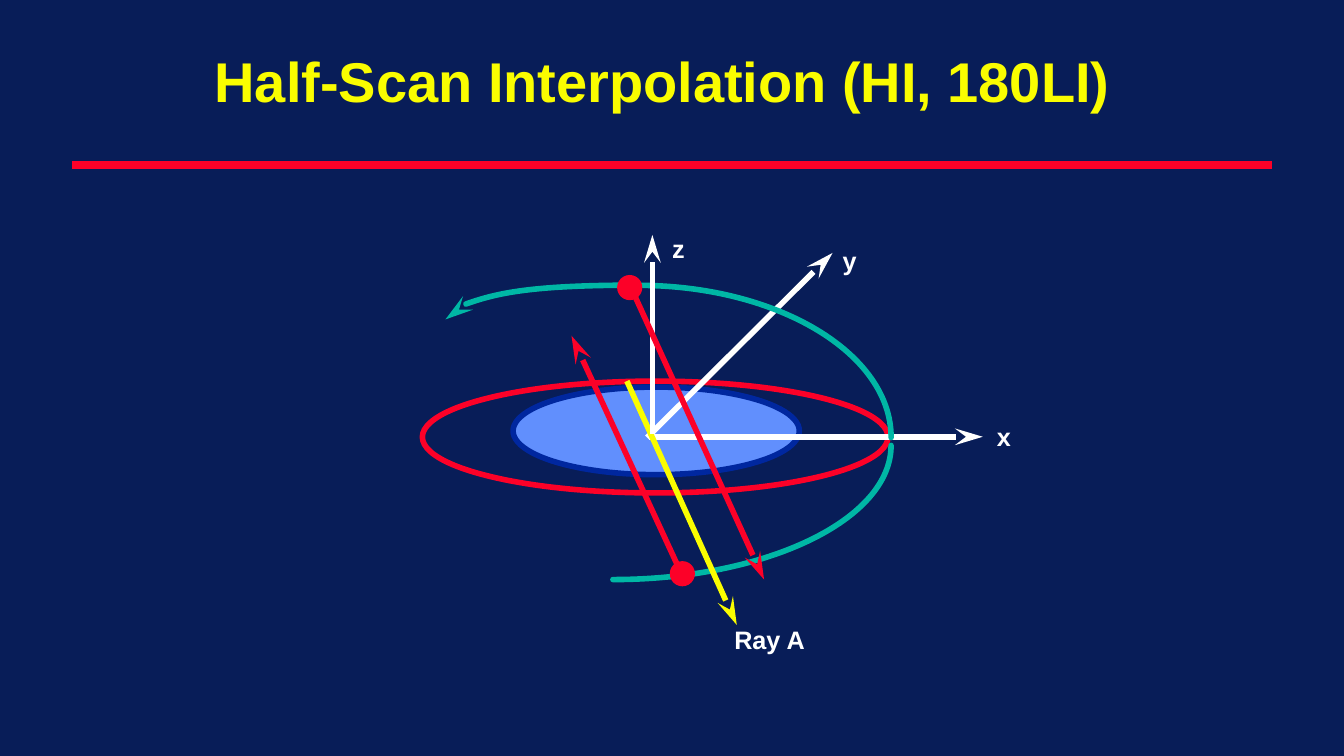
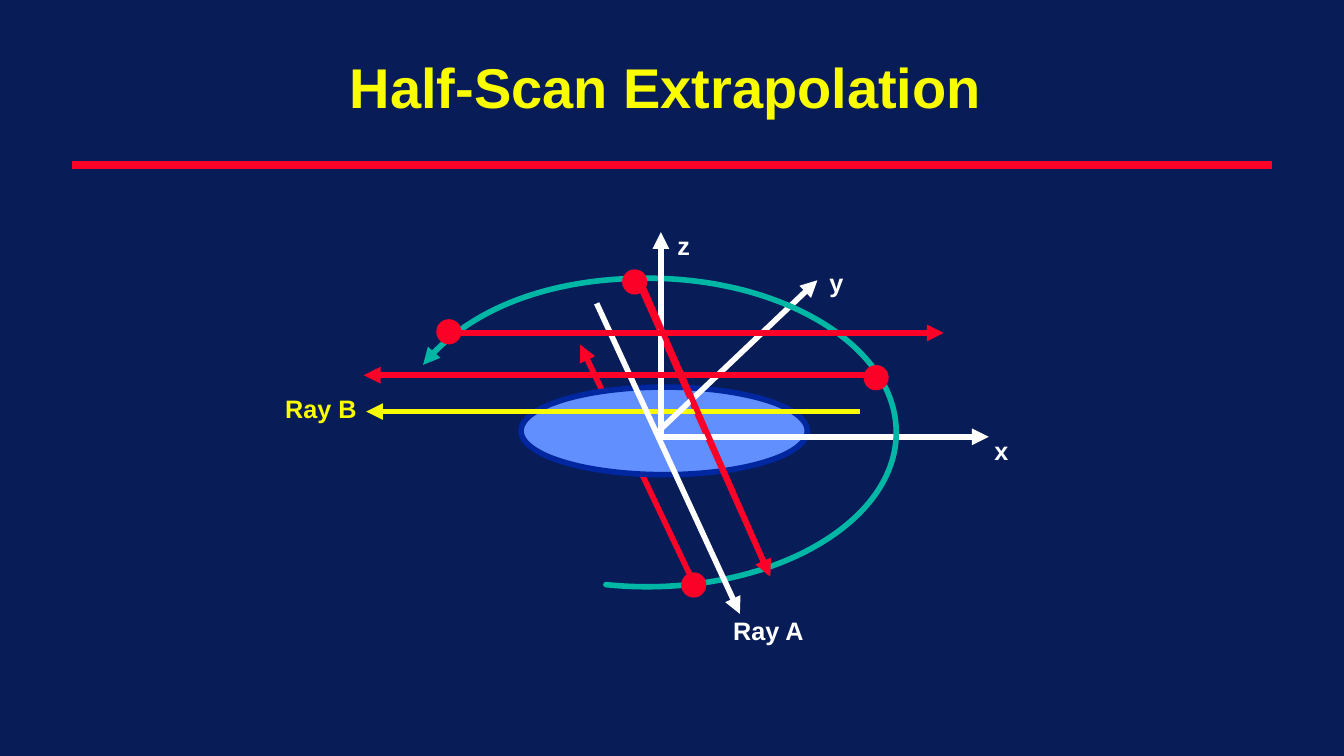
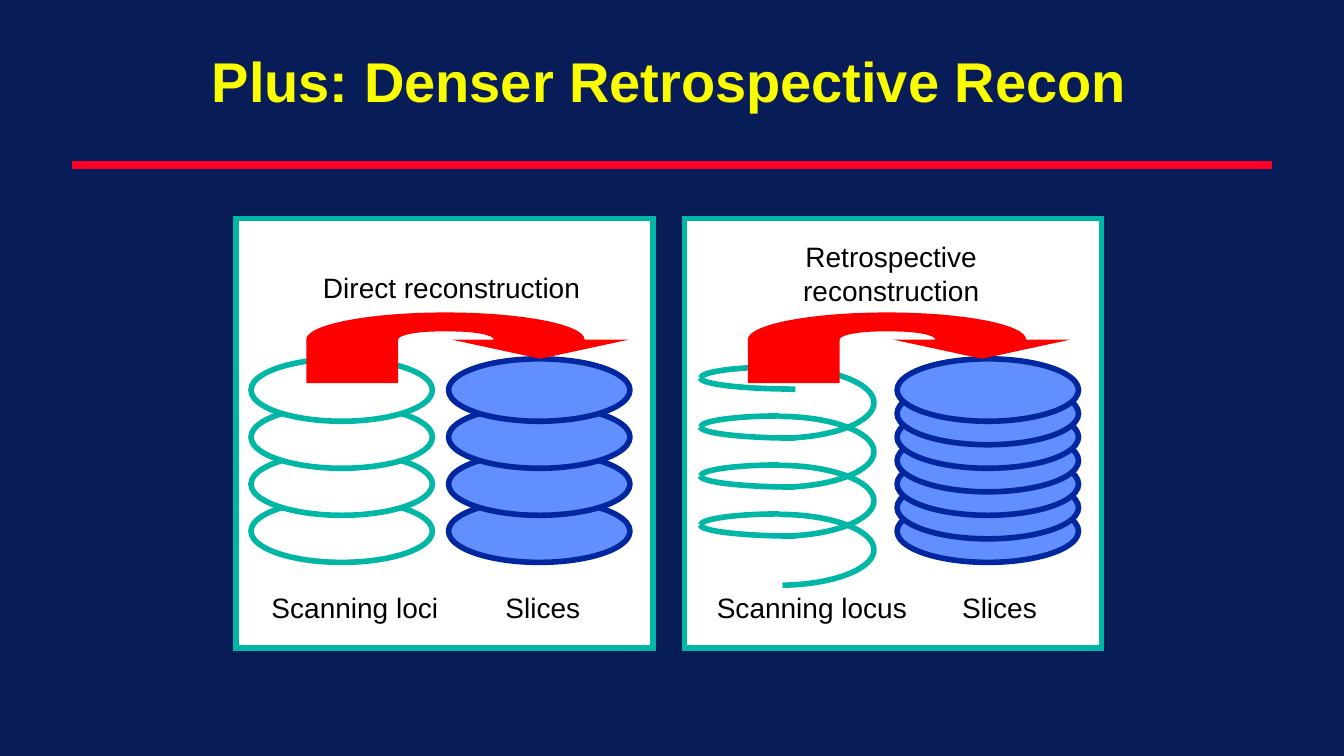
"""Build three slides on helical scan interpolation and reconstruction."""
import math

import lxml.etree
import pptx
import pptx.dml.color
import pptx.enum.shapes
import pptx.enum.text
import pptx.oxml.ns
import pptx.util

Pt = pptx.util.Pt
qn = pptx.oxml.ns.qn
Shape = pptx.enum.shapes.MSO_SHAPE
Align = pptx.enum.text.PP_ALIGN

HUES = {
    "navy": "081D58",
    "red": "FC0128",
    "pure": "FF0000",
    "gold": "FAFD00",
    "teal": "00B7A5",
    "sky": "618FFD",
    "blue": "00279F",
    "white": "FFFFFF",
    "black": "000000",
}


def arc(x, y, wide, high, start, end):
    def spot(turn, pull=0):
        a = math.radians(turn)
        return (x + wide * (math.cos(a) - pull * math.sin(a)),
                y + high * (math.sin(a) + pull * math.cos(a)))

    low, top = min(start, end), max(start, end)
    cuts = [low, *(a for a in range(-360, 721, 90) if low < a < top), top]
    if start > end:
        cuts.reverse()
    parts = [(spot(start),)]
    for a, b in zip(cuts, cuts[1:]):
        pull = 4 / 3 * math.tan(math.radians(b - a) / 4)
        parts.append((spot(a, pull), spot(b, -pull), spot(b)))
    return parts


class Deck:
    def __init__(self):
        self.file = pptx.Presentation()
        self.file.slide_width, self.file.slide_height = Pt(960), Pt(540)
        self.slide = None
        self.head = "triangle"

    def hue(self, name):
        return pptx.dml.color.RGBColor.from_string(HUES[name])

    def page(self, title, mid, top, width, head="triangle"):
        self.slide = self.file.slides.add_slide(self.file.slide_layouts[6])
        self.head = head
        back = self.slide.background.fill
        back.solid()
        back.fore_color.rgb = self.hue("navy")
        self.line((51.4, 118), (908.6, 118), "red", 6, tip=False)
        self.text(title, mid - width / 2, top, width, 46.8, 40, "gold", True,
                  Align.CENTER, 0.88, (5, 2.5))

    def text(self, words, x, y, width, height, size, hue, bold, align, space, inset):
        box = self.slide.shapes.add_textbox(Pt(x), Pt(y), Pt(width), Pt(height))
        frame = box.text_frame
        frame.text = words
        frame.word_wrap = False
        frame.auto_size = pptx.enum.text.MSO_AUTO_SIZE.SHAPE_TO_FIT_TEXT
        frame.margin_left = frame.margin_right = Pt(inset[0])
        frame.margin_top = frame.margin_bottom = Pt(inset[1])
        for para in frame.paragraphs:
            para.alignment = align
            para.line_spacing = space
            for run in para.runs:
                run.font.name = "Arial"
                run.font.size = Pt(size)
                run.font.bold = bold
                run.font.color.rgb = self.hue(hue)

    def label(self, words, x, y, width=24.5, hue="white"):
        self.text(words, x, y, width, 26.6, 18, hue, True, Align.LEFT, 0.9, (7.2, 3.6))

    def note(self, words, x, y, width, height=31.7):
        self.text(words, x, y, width, height, 20, "black", False, Align.CENTER, 1.0, (7.2, 3.6))

    def paint(self, shape, fill, edge):
        shape.shadow.inherit = False
        if fill:
            shape.fill.solid()
            shape.fill.fore_color.rgb = self.hue(fill)
        else:
            shape.fill.background()
        if edge:
            shape.line.color.rgb = self.hue(edge)
            shape.line.width = Pt(4)
        else:
            shape.line.fill.background()

    def form(self, kind, x, y, width, height, fill, edge):
        shape = self.slide.shapes.add_shape(kind, Pt(x), Pt(y), Pt(width), Pt(height))
        self.paint(shape, fill, edge)
        return shape

    def panel(self, x):
        shape = self.form(Shape.RECTANGLE, x, 156.2, 298.1, 306.7, "white", "teal")
        lxml.etree.SubElement(shape.line._get_or_add_ln(), qn("a:miter"), lim="800000")

    def oval(self, x, y, width, height, fill, edge):
        self.form(Shape.OVAL, x, y, width, height, fill, edge)

    def dot(self, x, y):
        self.oval(x, y, 18, 18, "red", None)

    def stack(self, x, count, step, fill, edge):
        for i in range(count):
            self.oval(x, 357.1 - i * step, 129.6, 44.6, fill, edge)

    def point(self, shape, end):
        size = "lg" if self.head == "stealth" else "med"
        lxml.etree.SubElement(shape.line._get_or_add_ln(), qn(end),
                              type=self.head, w="med", len=size)

    def line(self, start, end, hue, width=4, tip=True):
        ends = [Pt(v) for v in (*start, *end)]
        link = self.slide.shapes.add_connector(pptx.enum.shapes.MSO_CONNECTOR.STRAIGHT, *ends)
        link.line.color.rgb = self.hue(hue)
        link.line.width = Pt(width)
        if tip:
            self.point(link, "a:tailEnd")
        lxml.etree.SubElement(link._element.spPr, qn("a:effectLst"))

    def curve(self, parts, fill=None, edge="teal", tip=False, cap="rnd"):
        spots = [(Pt(x), Pt(y)) for part in parts for x, y in part]
        pen = self.slide.shapes.build_freeform(*spots[0])
        pen.add_line_segments(spots[1:], close=bool(fill))
        shape = pen.convert_to_shape()
        self.bend(shape, parts)
        self.paint(shape, fill, edge)
        if edge:
            shape.line._get_or_add_ln().set("cap", cap)
        if tip:
            self.point(shape, "a:headEnd")

    def bend(self, shape, parts):
        legs = iter(list(shape._element.iter(qn("a:lnTo"))))
        for part in parts[1:]:
            group = [next(legs) for _ in part]
            if len(group) == 3:
                group[0].addprevious(bow := group[0].makeelement(qn("a:cubicBezTo")))
                for leg in group:
                    bow.append(leg[0])
                    leg.getparent().remove(leg)

    def hook(self, x):
        parts = [((167.1, 153.2),), ((230.5, 139.5),), ((198.8, 139.5),)]
        parts += arc(99.4, 139.5, 99.4, 19.4, 0, -180)[1:]
        parts += [((0, 170.5),), ((65.6, 170.5),)]
        parts += arc(95.1, 139.5, 29.5, 5.8, 180, 270)
        parts += arc(103.8, 139.5, 30.2, 5.8, 270, 360)
        parts += [((103.8, 139.5),)]
        self.curve([[(x + a, 103.1 + b) for a, b in part] for part in parts], "pure", None)

    def coil(self, turns):
        for i in range(turns):
            rise = 35 * i
            self.curve(arc(556.6, 392.7 - rise, 67.7, 25.3, 88, -90), cap="flat")
            self.curve(arc(556.6, 375 - rise, 56.2, 7.9, 270, 180), cap="flat")
            self.curve(arc(568.1, 375 - rise, 67.7, 7.9, 180, 90), cap="flat")


def inter(deck):
    deck.page("Half-Scan Interpolation (HI, 180LI)", 473, 36.7, 656.6, "stealth")
    deck.oval(366.5, 276.5, 204.5, 62.6, "sky", "blue")
    deck.line((486, 408.2), (408.2, 239.8), "red")
    deck.oval(301.7, 272.2, 332.6, 79.9, None, "red")
    deck.curve(arc(455.8, 228.2, 137.6, 24.5, 180, 270), tip=True)
    deck.curve(arc(437.8, 318.2, 198.7, 95.8, 0, 90))
    deck.line((463.7, 312), (702, 312), "white")
    deck.line((462.2, 312.5), (594.7, 180.7), "white")
    deck.line((447.8, 272.2), (526.3, 446.4), "gold")
    deck.curve(arc(455.8, 312.5, 180.7, 108.7, 270, 360))
    deck.line((466, 310.3), (466, 167.8), "white")
    deck.line((450, 203.8), (545.8, 414), "red")
    deck.dot(440.8, 196.4)
    deck.dot(478.4, 400.8)
    deck.label("x", 705.1, 299.5)
    deck.label("y", 594.9, 174.2)
    deck.label("z", 473, 165.6)
    deck.label("Ray A", 517.4, 445, 65.5)


def extra(deck):
    deck.page("Half-Scan Extrapolation", 475.3, 41.1, 465.8)
    deck.line((496.8, 419), (414.5, 246.2), "red")
    deck.oval(372.2, 276.5, 204.5, 62.6, "sky", "blue")
    deck.line((457.9, 205.9), (550.1, 411.8), "red")
    deck.line((614.2, 294), (261.6, 294), "gold")
    deck.line((472.1, 312), (706.3, 312), "white")
    deck.line((468, 310.3), (583.9, 200.2), "white")
    deck.curve(arc(462.2, 308.9, 178, 110.2, 206, 459.5), tip=True)
    deck.line((472.1, 311.8), (472.1, 165.8), "white")
    deck.line((456.5, 198.7), (550.1, 411.8), "red")
    deck.line((426.2, 216.7), (528.5, 438.5), "white")
    deck.line((626.4, 268), (259.9, 268), "red")
    deck.line((321.8, 237.8), (674.1, 237.8), "red")
    for x, y in ((486.5, 408.8), (616.8, 260.8), (311.6, 228), (444.4, 192.4)):
        deck.dot(x, y)
    deck.label("Ray A", 516.6, 438.5, 65.5)
    deck.label("Ray B", 196.6, 280.1, 66.2, "gold")
    deck.label("x", 703.2, 309.6)
    deck.label("y", 585.4, 190.1)
    deck.label("z", 476.8, 163.4)


def dense(deck):
    deck.page("Plus: Denser Retrospective Recon", 477.8, 36.7, 670.3)
    for x in (488.9, 168.5):
        deck.panel(x)
    deck.stack(179.3, 4, 33.6, "white", "teal")
    deck.stack(640.8, 7, 16.8, "sky", "blue")
    deck.coil(4)
    deck.stack(320.4, 4, 33.6, "sky", "blue")
    for x in (218.8, 534.2):
        deck.hook(x)
    for words, x, width in (("Scanning loci", 185.8, 135.4), ("Slices", 353.2, 69.1),
                            ("Scanning locus", 504, 151.9), ("Slices", 679.4, 69.1)):
        deck.note(words, x, 418.3, width)
    deck.note("Direct reconstruction", 222.5, 189.6, 200.2)
    deck.note("Retrospective\nreconstruction", 565.7, 167.6, 141.8, 56.2)


def main():
    deck = Deck()
    for draw in (inter, extra, dense):
        draw(deck)
    deck.file.save("out.pptx")


if __name__ == "__main__":
    main()
